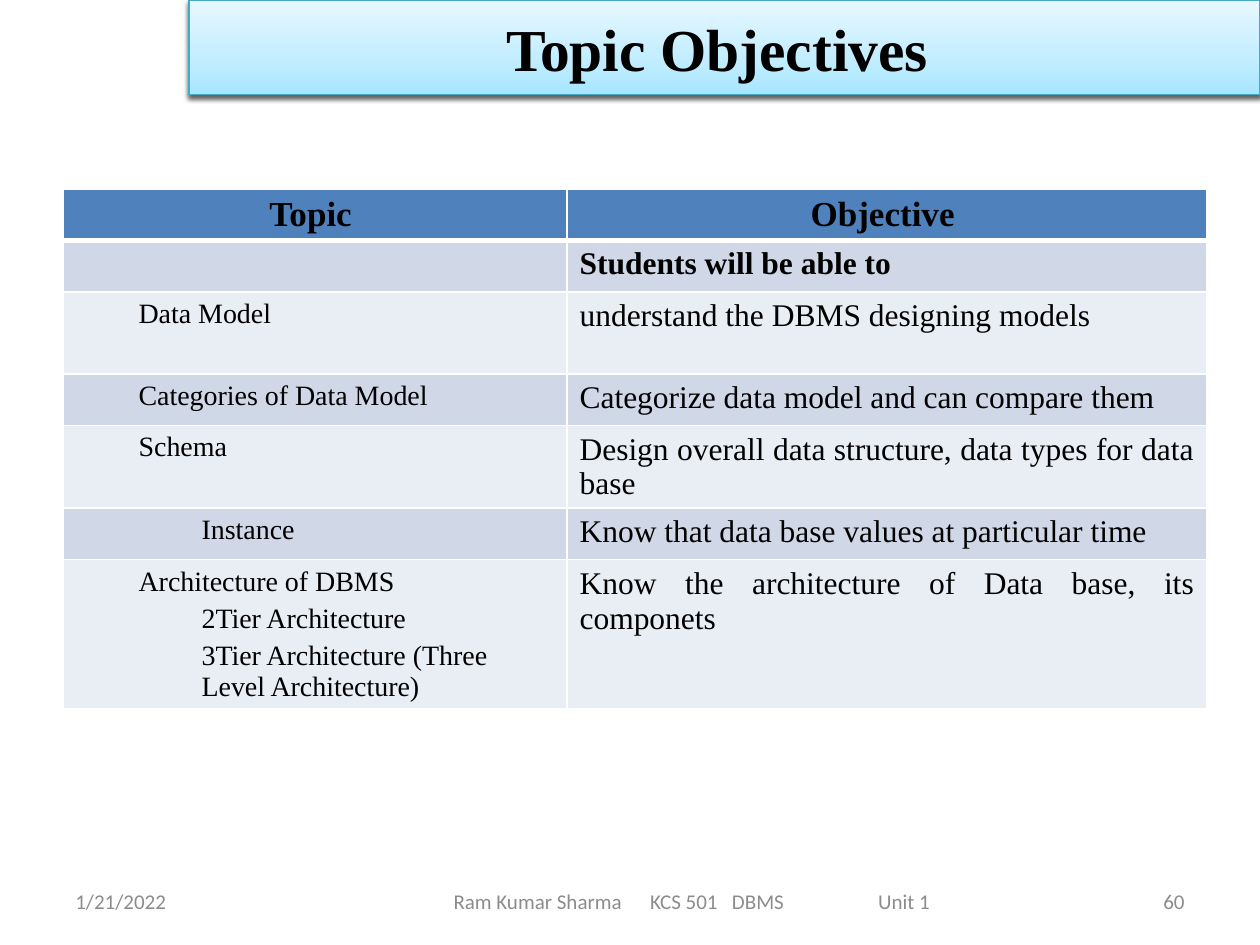
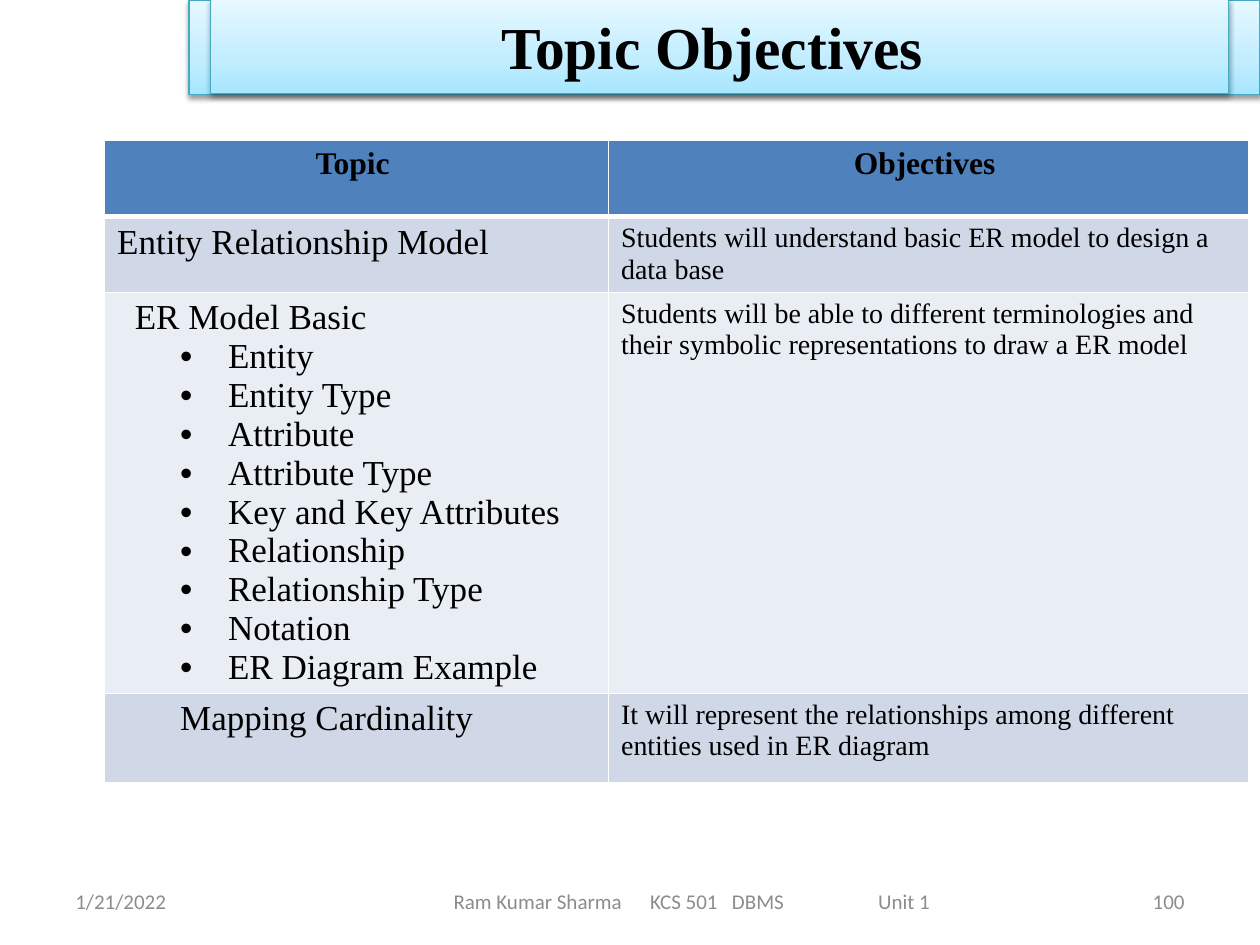
from lxml import etree
from pptx import Presentation
from pptx.dml.color import RGBColor
from pptx.enum import shapes, text
from pptx.oxml import parse_xml
from pptx.oxml.ns import nsdecls, qn
from pptx.util import Inches, Pt

SERIF, SANS = "Times New Roman", "Calibri"
BLACK, WHITE, GREY = "000000", "FFFFFF", "8C8C8C"
BAND_LINE = "46AAC5"
BAND_STOPS = ((0, "A7E6FF"), (35, "C1EDFF"), (100, "E7F8FF"))
HEADER_FILL, ROW_FILLS = "4F81BD", ("D0D8E8", "E9EDF4")
BAND_BOX = (1.5, 0, 8.5, 0.75)
COLUMN_WIDTHS = (4, 5.08)
FOOTER_TOP, FOOTER_HEIGHT = 6.95, 0.4
FOOTER_TABS = (1.56, 2.21, 3.37)
LEFT, CENTER = text.PP_ALIGN.LEFT, text.PP_ALIGN.CENTER
RIGHT, JUSTIFY = text.PP_ALIGN.RIGHT, text.PP_ALIGN.JUSTIFY


def color(hex_string):
    return RGBColor.from_string(hex_string)


def set_values(target, values):
    for name, value in values.items():
        setattr(target, name, value)


def write(paragraph, words, size, font=SERIF, bold=False, align=LEFT, ink=BLACK):
    paragraph.alignment = align
    run = paragraph.add_run()
    run.text = words
    set_values(run.font, {"name": font, "size": Pt(size), "bold": bold})
    run.font.color.rgb = color(ink)


def indent(paragraph, left, hanging=0, bullet=None):
    properties = paragraph._p.get_or_add_pPr()
    properties.set("marL", str(Inches(left)))
    properties.set("indent", str(-Inches(hanging)))
    if bullet:
        etree.SubElement(properties, qn("a:buFont"), typeface="Arial")
        etree.SubElement(properties, qn("a:buChar"), char=bullet)


def style_band(shape, box):
    """Place the shape and give it the gradient, outline and soft shadow."""
    set_values(shape, dict(zip(("left", "top", "width", "height"), map(Inches, box))))
    properties = shape._element.spPr
    stops = "".join(f'<a:gs pos="{position * 1000}"><a:srgbClr val="{tone}"/></a:gs>'
                    for position, tone in BAND_STOPS)
    properties.append(parse_xml(
        f'<a:gradFill {nsdecls("a")} rotWithShape="1"><a:gsLst>{stops}</a:gsLst>'
        '<a:lin ang="16200000" scaled="0"/></a:gradFill>'))
    shape.line.color.rgb = color(BAND_LINE)
    shape.line.width = Pt(0.75)
    properties.append(parse_xml(
        f'<a:effectLst {nsdecls("a")}><a:outerShdw blurRad="{Pt(3.1)}" dist="{Pt(1.6)}" '
        f'dir="5400000" rotWithShape="0"><a:srgbClr val="{BLACK}"><a:alpha val="38000"/>'
        '</a:srgbClr></a:outerShdw></a:effectLst>'))


def add_title(slide, words, box):
    band = slide.shapes.add_shape(shapes.MSO_SHAPE.RECTANGLE, *map(Inches, BAND_BOX))
    style_band(band, BAND_BOX)
    title = slide.shapes.title
    title._element.getparent().append(title._element)
    style_band(title, box)
    title.text_frame.vertical_anchor = text.MSO_ANCHOR.MIDDLE
    write(title.text_frame.paragraphs[0], words, 34, bold=True, align=CENTER)


def add_footer_text(slide, words, left, width, align=LEFT, inset=0.1, tabs=()):
    box = slide.shapes.add_textbox(*map(Inches, (left, FOOTER_TOP, width, FOOTER_HEIGHT)))
    set_values(box.text_frame, {"word_wrap": True, "margin_left": Inches(inset),
                                "vertical_anchor": text.MSO_ANCHOR.MIDDLE})
    paragraph = box.text_frame.paragraphs[0]
    if tabs:
        tab_list = etree.SubElement(paragraph._p.get_or_add_pPr(), qn("a:tabLst"))
        for position in tabs:
            etree.SubElement(tab_list, qn("a:tab"), pos=str(Inches(position)), algn="l")
    write(paragraph, words, 12, SANS, align=align, ink=GREY)


def add_footer(slide, number):
    add_footer_text(slide, "1/21/2022", 0.5, 2.33)
    add_footer_text(slide, "Ram Kumar Sharma\tKCS 501\tDBMS\tUnit 1", 2.75, 5.5,
                    inset=0.85, tabs=FOOTER_TABS)
    add_footer_text(slide, number, 7.17, 2.33, RIGHT)


def style_cell(cell, fill, bottom_width):
    properties = cell._tc.get_or_add_tcPr()
    for side, width in (("L", 1), ("R", 1), ("T", 1), ("B", bottom_width)):
        properties.append(parse_xml(
            f'<a:ln{side} {nsdecls("a")} w="{Pt(width)}"><a:solidFill>'
            f'<a:srgbClr val="{WHITE}"/></a:solidFill></a:ln{side}>'))
    cell.fill.solid()
    cell.fill.fore_color.rgb = color(fill)


def add_objectives_table(slide, left, top, heights, rows, space=0):
    """Each cell is a list of (words, text format, indent format) lines."""
    frame = slide.shapes.add_table(len(rows), len(COLUMN_WIDTHS), *map(
        Inches, (left, top, sum(COLUMN_WIDTHS), sum(heights))))
    table = frame.table
    for column, width in zip(table.columns, COLUMN_WIDTHS):
        column.width = Inches(width)
    for index, (height, row) in enumerate(zip(heights, rows)):
        table.rows[index].height = Inches(height)
        fill = ROW_FILLS[(index - 1) % 2] if index else HEADER_FILL
        for column, lines in enumerate(row):
            cell = table.cell(index, column)
            style_cell(cell, fill, 1 if index else 3)
            for number, (words, text_format, indent_format) in enumerate(lines):
                frame_text = cell.text_frame
                paragraph = frame_text.add_paragraph() if number else frame_text.paragraphs[0]
                if number and space:
                    paragraph.space_before = Pt(space)
                if indent_format:
                    indent(paragraph, **indent_format)
                write(paragraph, words, **text_format)


def line(words, size, left=0, hanging=0, bullet=None, **text_format):
    indent_format = {"left": left, "hanging": hanging, "bullet": bullet} if left else {}
    return words, {"size": size, **text_format}, indent_format


def header_row(size, *labels):
    return [[line(label, size, bold=True, align=CENTER)] for label in labels]


def build_data_model_slide(slide):
    add_title(slide, "Topic Objectives ", BAND_BOX)
    topics = (
        ([("Data Model", 0.5)], "understand the DBMS designing models "),
        ([("Categories of Data Model", 0.5)], "Categorize data model and can compare them "),
        ([("Schema", 0.5)], "Design overall data structure, data types for data base "),
        ([("Instance", 1)], "Know that data base values at particular time "),
        ([("Architecture of DBMS", 0.5), ("2Tier Architecture", 1),
          ("3Tier Architecture (Three Level Architecture)", 1)],
         "Know the architecture of Data base, its componets"),
    )
    rows = [header_row(20, "Topic ", "Objective "),
            [[], [line("Students will be able to", 18, bold=True)]]]
    rows += [[[line(words, 16, left) for words, left in names],
              [line(objective, 18, align=JUSTIFY)]] for names, objective in topics]
    add_objectives_table(slide, 0.5, 1.5, (0.4, 0.41, 0.65, 0.41, 0.65, 0.41, 1.17),
                         rows, space=3.5)
    add_footer(slide, "60")


def build_er_model_slide(slide):
    add_title(slide, "Topic Objectives ", (1.67, -0.01, 8.08, 0.75))
    basics = ("Entity", "Entity Type", "Attribute", "Attribute Type",
              "Key and Key Attributes", "Relationship", "Relationship Type",
              "Notation", "ER Diagram Example")
    rows = [
        header_row(18, "Topic ", "Objectives "),
        [[line("Entity Relationship Model", 20)],
         [line("Students will understand basic ER model to design a data base", 16)]],
        [[line("ER Model Basic", 20, 0.14)]
         + [line(name, 20, 0.88, 0.38, "•") for name in basics],
         [line("Students will be able to different terminologies and their symbolic "
               "representations to draw a ER model", 16)]],
        [[line("Mapping Cardinality", 20, 0.5)],
         [line("It will represent the relationships among different entities used in "
               "ER diagram", 16)]],
    ]
    add_objectives_table(slide, 0.83, 1.11, (0.61, 0.6, 3.18, 0.71), rows)
    add_footer(slide, "100")


def main():
    presentation = Presentation()
    set_values(presentation, {"slide_width": Inches(10), "slide_height": Inches(7.5)})
    title_only = presentation.slide_layouts.get_by_name("Title Only")
    for build in (build_data_model_slide, build_er_model_slide):
        build(presentation.slides.add_slide(title_only))
    presentation.save("out.pptx")


if __name__ == "__main__":
    main()
